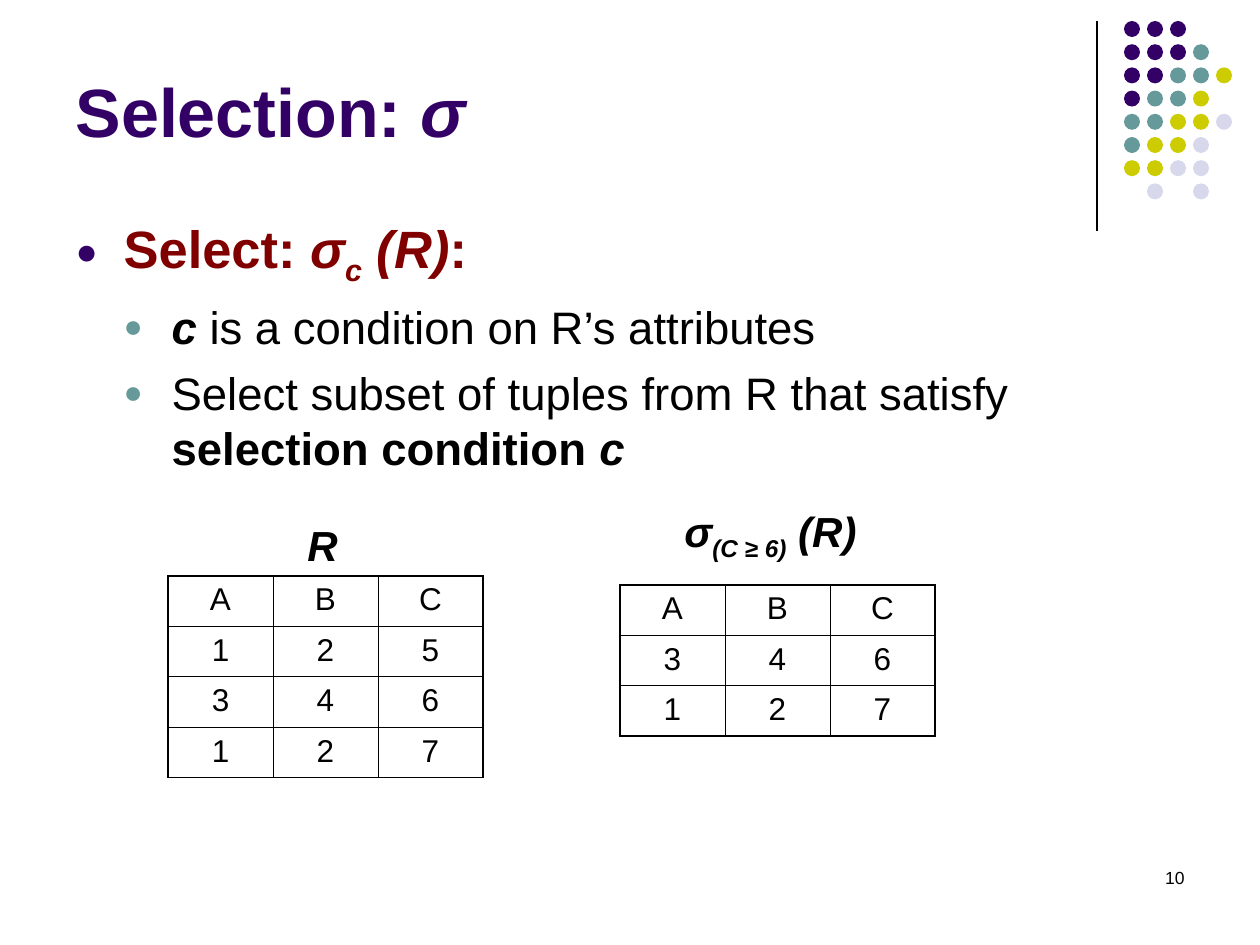
from dataclasses import dataclass

from lxml import etree
from pptx import Presentation
from pptx.dml.color import RGBColor
from pptx.enum.shapes import MSO_CONNECTOR, MSO_SHAPE
from pptx.enum.text import MSO_ANCHOR, MSO_AUTO_SIZE, PP_ALIGN
from pptx.oxml.ns import qn
from pptx.shapes.base import BaseShape
from pptx.slide import Slide
from pptx.util import Emu, Pt

STRAIGHT = MSO_CONNECTOR.STRAIGHT
OVAL = MSO_SHAPE.OVAL
BOTTOM, TOP = MSO_ANCHOR.BOTTOM, MSO_ANCHOR.TOP
NO_AUTOFIT, FIT_SHAPE = MSO_AUTO_SIZE.NONE, MSO_AUTO_SIZE.SHAPE_TO_FIT_TEXT
LEFT, CENTER, RIGHT = PP_ALIGN.LEFT, PP_ALIGN.CENTER, PP_ALIGN.RIGHT

BLACK = RGBColor(0x00, 0x00, 0x00)
PURPLE = RGBColor(0x33, 0x00, 0x66)
TEAL = RGBColor(0x66, 0x99, 0x99)
OLIVE = RGBColor(0xCC, 0xCC, 0x00)
LAVENDER = RGBColor(0xD8, 0xD8, 0xEC)
MAROON = RGBColor(0x80, 0x00, 0x00)

FONT = "Arial"
PX_PER_INCH = 126
DOT_COLORS = {"P": PURPLE, "T": TEAL, "O": OLIVE, "L": LAVENDER}
DOT_ROWS = ("PPP", "PPPT", "PPTTO", "PTTO", "TTOOL", "TOOL", "OOLL", " L L")
DOT_SIZE = 16
DOT_PITCH_X, DOT_PITCH_Y = 23, 23.2
CELL_WIDTH, CELL_HEIGHT = 105, 50.4
THICK, THIN = 1.08, 0.45


@dataclass
class Box:
    left: int
    top: int
    width: int
    height: int


@dataclass
class Run:
    text: str
    bold: bool = False
    italic: bool = False
    subscript: bool = False


@dataclass
class Bullet:
    runs: list[Run]
    level: int
    size: int
    color: RGBColor
    bullet_color: RGBColor
    space_before: float


@dataclass
class Label:
    box: Box
    runs: list[Run]
    size: int
    alignment: PP_ALIGN = LEFT
    wrap: bool = False


@dataclass
class Relation:
    left: int
    top: int
    rows: list[str]
    bottom_border: float


TITLE = [Run("Selection: ", True), Run("σ", True, True)]
BULLETS = [
    Bullet([Run("Select: ", True), Run("σ", True, True), Run("c", True, True, True),
            Run(" (R)", True, True), Run(":", True)], 0, 30, MAROON, PURPLE, 0),
    Bullet([Run("c", True, True), Run(" is a condition on R’s attributes")],
           1, 26, BLACK, TEAL, 6.5),
    Bullet([Run("Select subset of tuples from R that satisfy "),
            Run("selection condition ", True), Run("c", True, True)],
           1, 26, BLACK, TEAL, 6.5),
]
LABELS = [
    Label(Box(295, 513, 55, 63), [Run("R", True, True)], 24),
    Label(Box(672, 499, 197, 71), [Run("σ", True, True), Run("(C ≥ 6)", True, True, True),
                                   Run(" (R)", True, True)], 24),
    Label(Box(903, 861, 294, 63), [Run("10")], 10, RIGHT, True),
]
RELATIONS = [
    Relation(168, 576, ["ABC", "125", "346", "127"], THIN),
    Relation(620, 585, ["ABC", "346", "127"], THICK),
]


def px(value: float) -> Emu:
    return Emu(round(value * 914400 / PX_PER_INCH))


def place(shape: BaseShape, box: Box) -> None:
    shape.left, shape.top = px(box.left), px(box.top)
    shape.width, shape.height = px(box.width), px(box.height)


def add_runs(paragraph, runs: list[Run], size: int, color: RGBColor) -> None:
    for item in runs:
        run = paragraph.add_run()
        run.text = item.text
        font = run.font
        font.name, font.size = FONT, Pt(size)
        font.bold, font.italic = item.bold, item.italic
        font.color.rgb = color
        if item.subscript:
            font._element.set("baseline", "-25000")


def add_bullet_mark(paragraph, color: RGBColor, level: int) -> None:
    properties = paragraph._p.get_or_add_pPr()
    properties.set("marL", str(px(48 * (level + 1))))
    properties.set("indent", str(-px(48)))
    bullet_color = etree.SubElement(properties, qn("a:buClr"))
    etree.SubElement(bullet_color, qn("a:srgbClr"), val=str(color))
    etree.SubElement(properties, qn("a:buSzPct"), val="70000")
    etree.SubElement(properties, qn("a:buFont"), typeface=FONT)
    etree.SubElement(properties, qn("a:buChar"), char="●")


def fill_title(slide: Slide) -> None:
    title = slide.shapes.title
    place(title, Box(63, 16, 1040, 141))
    frame = title.text_frame
    frame.auto_size, frame.vertical_anchor = NO_AUTOFIT, BOTTOM
    paragraph = frame.paragraphs[0]
    paragraph.alignment = LEFT
    add_runs(paragraph, TITLE, 39, PURPLE)


def fill_body(slide: Slide) -> None:
    body = slide.placeholders[1]
    place(body, Box(63, 210, 1029, 284))
    frame = body.text_frame
    frame.auto_size, frame.vertical_anchor = NO_AUTOFIT, TOP
    for index, item in enumerate(BULLETS):
        paragraph = frame.add_paragraph() if index else frame.paragraphs[0]
        paragraph.level = item.level
        add_bullet_mark(paragraph, item.bullet_color, item.level)
        paragraph.space_before = Pt(item.space_before)
        add_runs(paragraph, item.runs, item.size, item.color)


def add_label(slide: Slide, label: Label) -> None:
    box = label.box
    shape = slide.shapes.add_textbox(px(box.left), px(box.top), px(box.width), px(box.height))
    frame = shape.text_frame
    frame.word_wrap = label.wrap
    frame.auto_size = NO_AUTOFIT if label.wrap else FIT_SHAPE
    paragraph = frame.paragraphs[0]
    paragraph.alignment = label.alignment
    add_runs(paragraph, label.runs, label.size, BLACK)


def add_border(cell, side: str, width: float) -> None:
    properties = cell._tc.get_or_add_tcPr()
    line = etree.SubElement(properties, qn(f"a:ln{side}"), w=str(Pt(width)))
    fill = etree.SubElement(line, qn("a:solidFill"))
    etree.SubElement(fill, qn("a:srgbClr"), val=str(BLACK))


def add_relation(slide: Slide, relation: Relation) -> None:
    row_count, column_count = len(relation.rows), len(relation.rows[0])
    table = slide.shapes.add_table(
        row_count, column_count, px(relation.left), px(relation.top),
        px(CELL_WIDTH * column_count), px(CELL_HEIGHT * row_count)).table
    table.first_row = table.horz_banding = False
    for row, values in enumerate(relation.rows):
        for column, value in enumerate(values):
            cell = table.cell(row, column)
            add_border(cell, "L", THIN if column else THICK)
            add_border(cell, "R", THICK if column == column_count - 1 else THIN)
            add_border(cell, "T", THIN if row else THICK)
            add_border(cell, "B", relation.bottom_border if row == row_count - 1 else THIN)
            cell.fill.background()
            paragraph = cell.text_frame.paragraphs[0]
            paragraph.alignment = CENTER
            add_runs(paragraph, [Run(value)], 18, BLACK)


def add_decoration(slide: Slide) -> None:
    rule = slide.shapes.add_connector(STRAIGHT, px(1097), px(21), px(1097), px(231))
    rule.line.color.rgb, rule.line.width = BLACK, Pt(0.75)
    etree.SubElement(rule._element.spPr, qn("a:effectLst"))
    dots = slide.shapes.add_group_shape()
    for row, pattern in enumerate(DOT_ROWS):
        for column, key in enumerate(pattern):
            if key in DOT_COLORS:
                dot = dots.shapes.add_shape(
                    OVAL, px(1124 + column * DOT_PITCH_X), px(21 + row * DOT_PITCH_Y),
                    px(DOT_SIZE), px(DOT_SIZE))
                dot.shadow.inherit = False
                dot.fill.solid()
                dot.fill.fore_color.rgb = DOT_COLORS[key]
                dot.line.fill.background()


def main() -> None:
    presentation = Presentation()
    presentation.slide_width, presentation.slide_height = px(1260), px(945)
    slide = presentation.slides.add_slide(presentation.slide_layouts[1])
    add_decoration(slide)
    fill_title(slide)
    fill_body(slide)
    for relation in RELATIONS:
        add_relation(slide, relation)
    for label in LABELS:
        add_label(slide, label)
    presentation.save("out.pptx")


if __name__ == "__main__":
    main()
